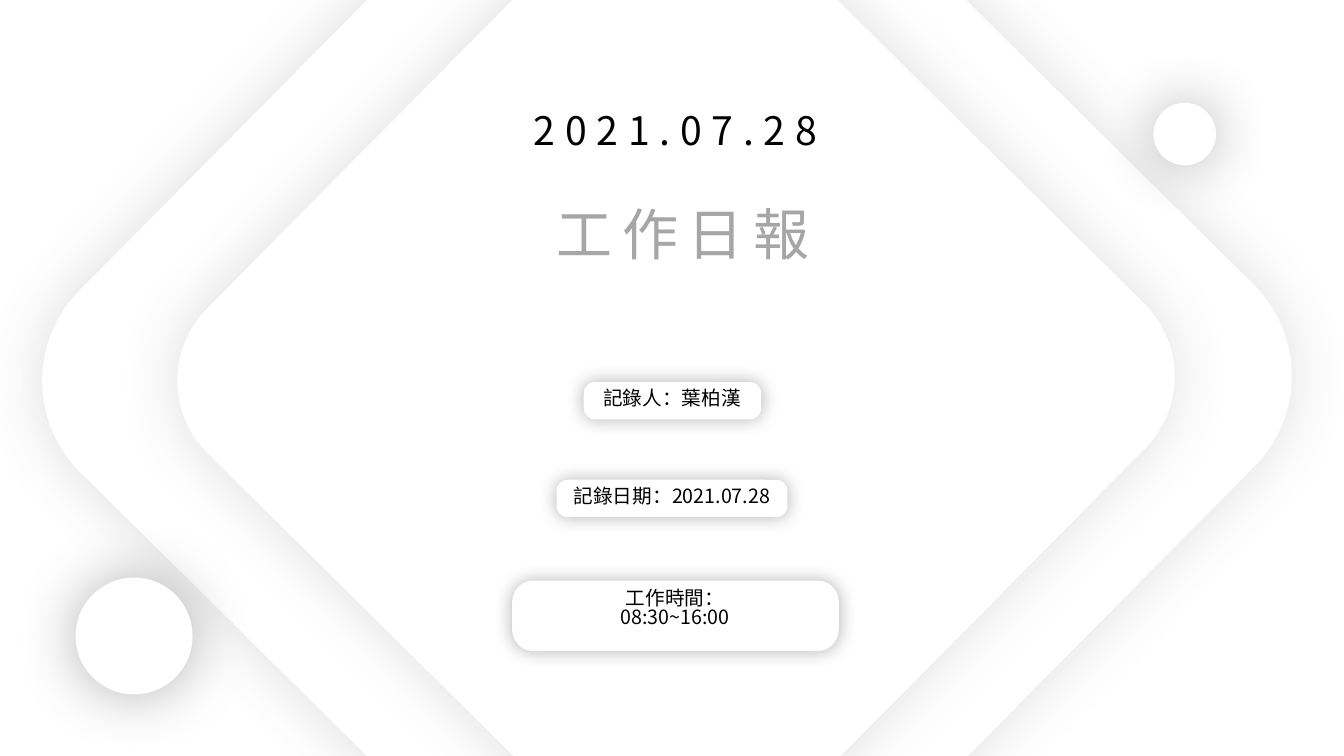
from lxml import etree
from pptx import Presentation
from pptx.dml.color import RGBColor
from pptx.enum.shapes import MSO_SHAPE
from pptx.enum.text import MSO_AUTO_SIZE, PP_ALIGN
from pptx.oxml.ns import qn
from pptx.util import Inches, Pt

ROUNDED = MSO_SHAPE.ROUNDED_RECTANGLE
OVAL = MSO_SHAPE.OVAL
CENTER = PP_ALIGN.CENTER
GROW = MSO_AUTO_SIZE.SHAPE_TO_FIT_TEXT

WHITE = RGBColor(0xFF, 0xFF, 0xFF)
BLACK = RGBColor(0x00, 0x00, 0x00)
GRAY = RGBColor(0xA6, 0xA6, 0xA6)
SHADE = RGBColor(0x59, 0x59, 0x59)


class ReportCover:
    font = "Noto Sans CJK SC"
    first_line_spacing = 0.9
    next_line_spacing = 0.81

    def __init__(self, slide):
        self.slide = slide
        fill = slide.background.fill
        fill.solid()
        fill.fore_color.rgb = WHITE

    def glow(self, shape, color, opacity, blur):
        shape.shadow.inherit = False
        effects = shape._element.spPr.find(qn("a:effectLst"))
        shadow = etree.SubElement(
            effects, qn("a:outerShdw"), blurRad=str(Pt(blur)), dist="0",
            dir="0", algn="ctr", rotWithShape="0")
        tint = etree.SubElement(shadow, qn("a:srgbClr"), val=str(color))
        etree.SubElement(tint, qn("a:alpha"), val=str(opacity * 1000))

    def panel(self, kind, box, color=BLACK, opacity=30, blur=43,
              corner=None, rotation=0, shapes=None):
        shapes = shapes or self.slide.shapes
        panel = shapes.add_shape(kind, *map(Inches, box))
        if corner is not None:
            panel.adjustments[0] = corner
        panel.rotation = rotation
        panel.fill.solid()
        panel.fill.fore_color.rgb = WHITE
        panel.line.fill.background()
        self.glow(panel, color, opacity, blur)

    def text(self, box, lines, size, color=BLACK, tracking=0, shapes=None):
        shapes = shapes or self.slide.shapes
        frame = shapes.add_textbox(*map(Inches, box)).text_frame
        frame.word_wrap = True
        frame.auto_size = GROW
        for index, line in enumerate(lines):
            paragraph = frame.add_paragraph() if index else frame.paragraphs[0]
            paragraph.alignment = CENTER
            paragraph.line_spacing = (
                self.next_line_spacing if index else self.first_line_spacing)
            run = paragraph.add_run()
            run.text = line
            run.font.size = Pt(size)
            run.font.name = self.font
            run.font.color.rgb = color
            properties = run._r.get_or_add_rPr()
            etree.SubElement(properties, qn("a:ea"), typeface=self.font)
            if tracking:
                properties.set("spc", str(tracking * 100))

    def diamond(self, left, top, side):
        self.panel(ROUNDED, (left, top, side, side), color=SHADE, opacity=19,
                   corner=0.134, rotation=44.7)

    def disc(self, left, top, diameter):
        self.panel(OVAL, (left, top, diameter, diameter))

    def badge(self, panel_box, text_box, lines):
        shapes = self.slide.shapes.add_group_shape().shapes
        self.panel(ROUNDED, panel_box, blur=13, corner=0.302, shapes=shapes)
        self.text(text_box, lines, 14, shapes=shapes)


def main():
    deck = Presentation()
    deck.slide_width = Inches(13.33)
    deck.slide_height = Inches(7.5)
    cover = ReportCover(deck.slides.add_slide(deck.slide_layouts[6]))

    cover.diamond(1.86, -1, 9.51)
    cover.diamond(2.91, -0.04, 7.59)
    cover.text((3.06, 1.06, 7.28, 0.57), ["2021.07.28"], 28, tracking=7)
    cover.text((4.4, 2.01, 4.75, 0.77), ["工作日報"], 40, GRAY, tracking=7)
    cover.disc(0.75, 5.73, 1.16)
    cover.disc(11.44, 1.02, 0.62)

    badges = [
        ((5.79, 3.79, 1.76, 0.37), (5.62, 3.81, 2.09, 0.34),
         ["記錄人：葉柏漢"]),
        ((5.52, 4.76, 2.29, 0.37), (5.46, 4.78, 2.41, 0.34),
         ["記錄日期：2021.07.28"]),
        ((5.08, 5.76, 3.24, 0.7), (4.99, 5.79, 3.41, 0.57),
         ["工作時間：", "08:30~16:00"]),
    ]
    for panel_box, text_box, lines in badges:
        cover.badge(panel_box, text_box, lines)

    deck.save("out.pptx")


if __name__ == "__main__":
    main()
